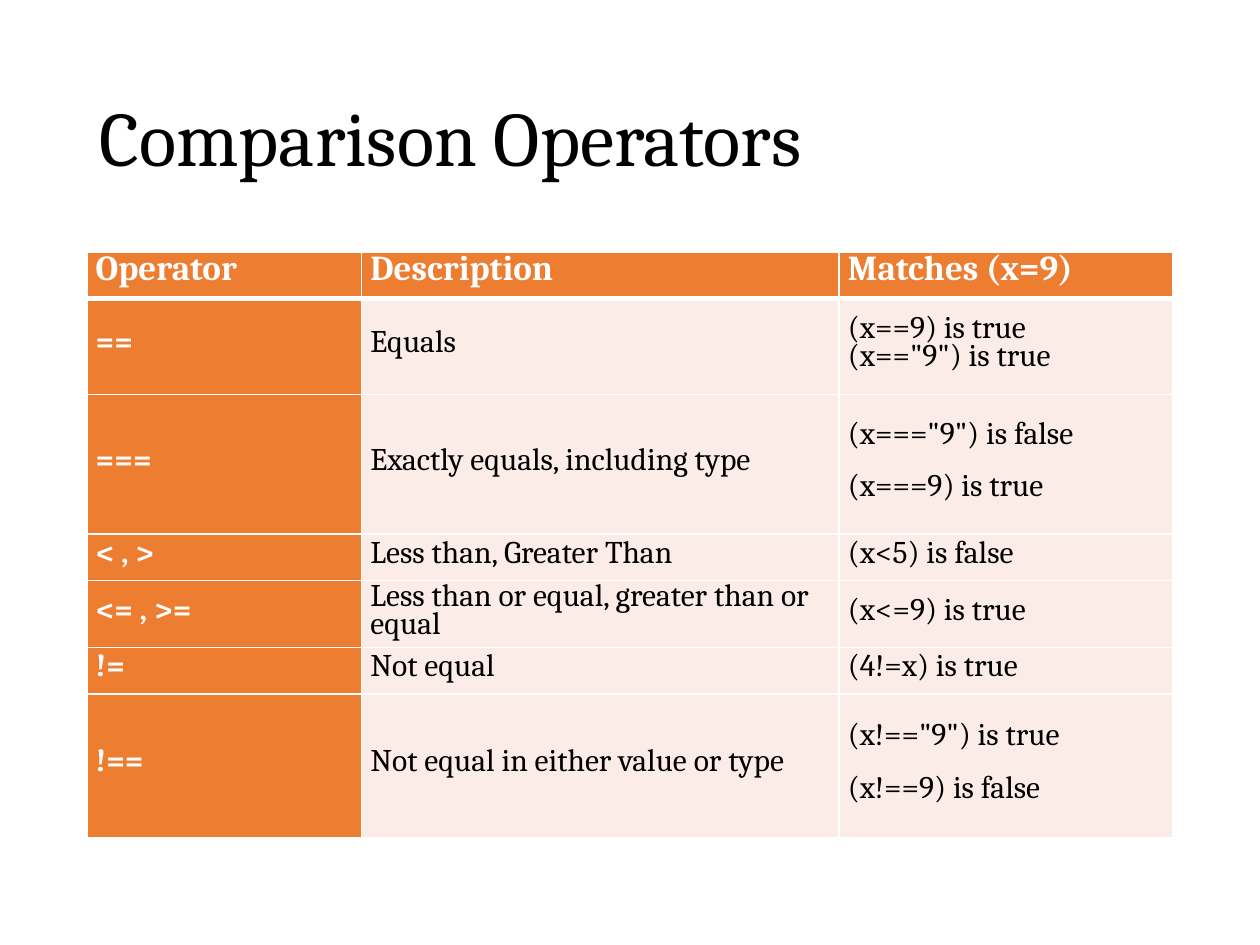
"""Build a slide with a table of comparison operators."""
from dataclasses import dataclass

from lxml import etree
from pptx import Presentation
from pptx.dml.color import RGBColor
from pptx.enum.text import MSO_ANCHOR
from pptx.oxml.ns import qn
from pptx.slide import Slide
from pptx.table import _Cell
from pptx.text.text import _Paragraph
from pptx.util import Inches, Pt

MIDDLE = MSO_ANCHOR.MIDDLE
ORANGE = RGBColor(0xED, 0x7D, 0x31)
BLUSH = RGBColor(0xFC, 0xEC, 0xE8)
WHITE = RGBColor(0xFF, 0xFF, 0xFF)
BLACK = RGBColor(0, 0, 0)

FONT = "Cambria"
WIDTH, HEIGHT = 10, 7.5
LEFT, TITLE_TOP, TABLE_TOP = 0.69, 0.4, 2
TITLE_HEIGHT = 1.45
COLS = (2.18, 3.79, 2.65)
ROWS = (0.37, 0.76, 1.11, 0.37, 0.53, 0.37, 1.14)
THIN, THICK = 1, 3


@dataclass(frozen=True)
class Style:
    size: float
    color: RGBColor
    bold: bool = False
    fill: RGBColor = BLUSH
    before: float = 7
    after: float = 7


TITLE = Style(44, BLACK)
HEADER = Style(20, WHITE, True, ORANGE, 0, 14)
OPERATOR = Style(18, WHITE, True, ORANGE)
BODY = Style(18, BLACK)


@dataclass(frozen=True)
class Entry:
    operator: str
    description: str
    matches: tuple[str, ...]


ENTRIES = (
    Entry("==", "Equals", ('(x==9) is true\v(x=="9") is true',)),
    Entry("===", "Exactly equals, including type",
          ('(x==="9") is false', "(x===9) is true")),
    Entry("< , >", "Less than, Greater Than", ("(x<5) is false",)),
    Entry("<= , >=", "Less than or equal, greater than or equal",
          ("(x<=9) is true",)),
    Entry("!=", "Not equal", ("(4!=x) is true",)),
    Entry("!==", "Not equal in either value or type",
          ('(x!=="9") is true', "(x!==9) is false")),
)


def set_attrs(obj: object, values: dict) -> None:
    for name, value in values.items():
        setattr(obj, name, value)


def write(p: _Paragraph, text: str, style: Style) -> None:
    p.text = text
    for r in p.runs:
        set_attrs(r.font, {"name": FONT, "size": Pt(style.size), "bold": style.bold})
        r.font.color.rgb = style.color


def add_borders(cell: _Cell, top: float, bottom: float) -> None:
    tc_pr = cell._tc.get_or_add_tcPr()
    for side, width in zip("LRTB", (THIN, THIN, top, bottom)):
        ln = etree.SubElement(tc_pr, qn(f"a:ln{side}"), w=str(Pt(width)))
        fill = etree.SubElement(ln, qn("a:solidFill"))
        etree.SubElement(fill, qn("a:srgbClr"), val=str(WHITE))


def fill_cell(cell: _Cell, texts: tuple[str, ...], style: Style, row: int) -> None:
    set_attrs(cell, {
        "vertical_anchor": MIDDLE,
        "margin_left": Inches(0.07), "margin_right": Inches(0.07),
        "margin_top": 0, "margin_bottom": 0,
    })
    add_borders(cell, THICK if row == 1 else THIN, THICK if row == 0 else THIN)
    cell.fill.solid()
    cell.fill.fore_color.rgb = style.fill
    tf = cell.text_frame
    for i, text in enumerate(texts):
        p = tf.add_paragraph() if i else tf.paragraphs[0]
        write(p, text, style)
        set_attrs(p, {
            "line_spacing": Pt(16),
            "space_before": Pt(style.before if i else 0),
            "space_after": Pt(style.after),
        })


def add_title(s: Slide, text: str) -> None:
    sp = s.shapes.add_textbox(Inches(LEFT), Inches(TITLE_TOP),
                              Inches(sum(COLS)), Inches(TITLE_HEIGHT))
    tf = sp.text_frame
    set_attrs(tf, {"word_wrap": True, "vertical_anchor": MIDDLE})
    p = tf.paragraphs[0]
    p.line_spacing = 0.9
    write(p, text, TITLE)


def add_operator_table(s: Slide) -> None:
    table = s.shapes.add_table(len(ROWS), len(COLS), Inches(LEFT), Inches(TABLE_TOP),
                               Inches(sum(COLS)), Inches(sum(ROWS))).table
    table.horz_banding = False
    for column, width in zip(table.columns, COLS):
        column.width = Inches(width)
    for row, height in zip(table.rows, ROWS):
        row.height = Inches(height)
    for j, text in enumerate(("Operator", "Description", "Matches (x=9)")):
        fill_cell(table.cell(0, j), (text,), HEADER, 0)
    for i, entry in enumerate(ENTRIES, 1):
        fill_cell(table.cell(i, 0), (entry.operator,), OPERATOR, i)
        fill_cell(table.cell(i, 1), (entry.description,), BODY, i)
        fill_cell(table.cell(i, 2), entry.matches, BODY, i)


def main() -> None:
    prs = Presentation()
    set_attrs(prs, {"slide_width": Inches(WIDTH), "slide_height": Inches(HEIGHT)})
    s = prs.slides.add_slide(prs.slide_layouts[6])
    add_title(s, "Comparison Operators")
    add_operator_table(s)
    prs.save("out.pptx")


if __name__ == "__main__":
    main()
